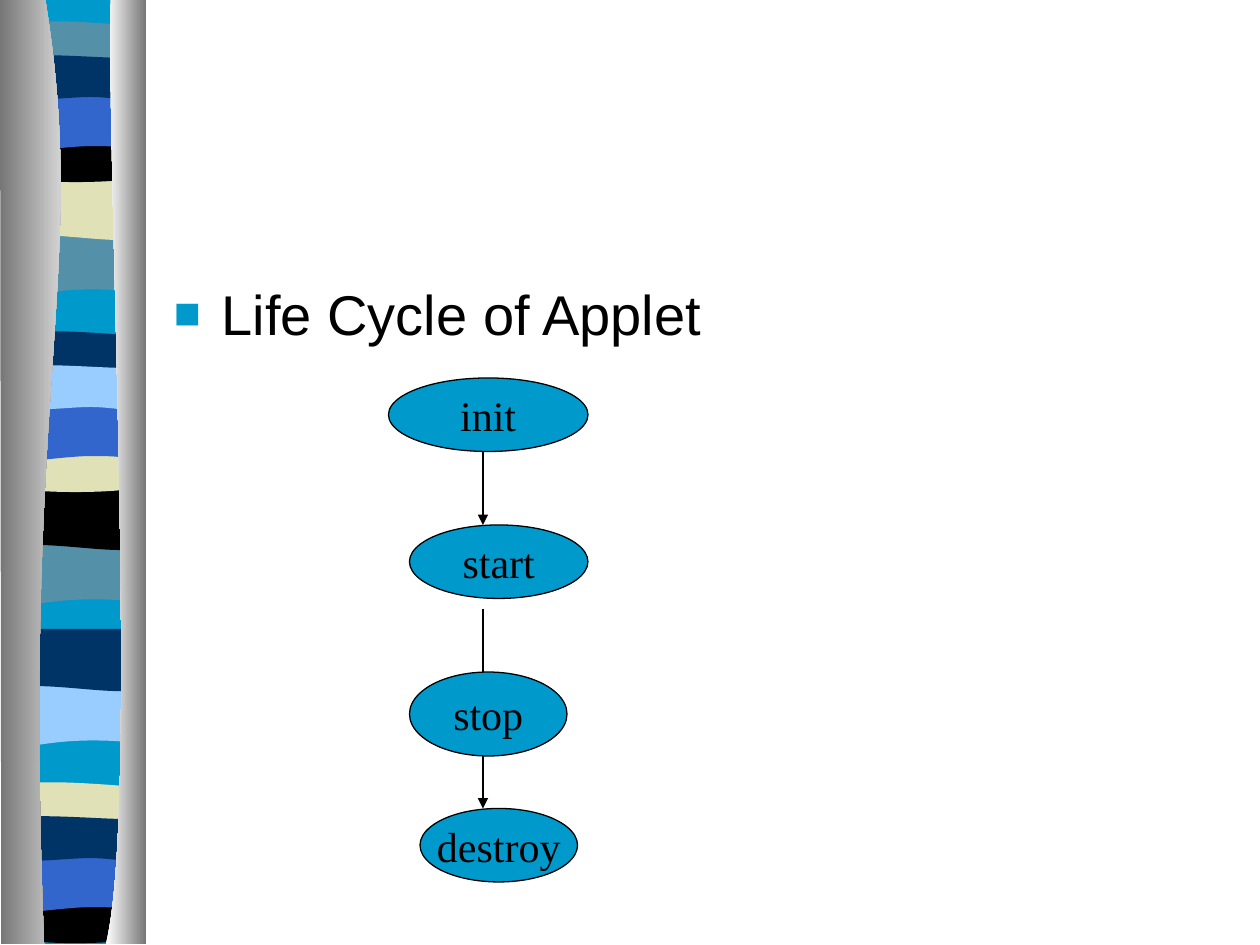
import pptx
import pptx.util
import pptx.dml.color
import pptx.enum.shapes
import pptx.enum.text
import pptx.oxml.ns
import lxml.etree

Inches, Pt = pptx.util.Inches, pptx.util.Pt
qn = pptx.oxml.ns.qn

INK = {
    "sky": "0099CC", "teal": "5490A8", "sand": "E1E1B7", "black": "000000",
    "blue": "3366CC", "navy": "003366", "pale": "99CCFF",
    "gray": "767676", "white": "FFFFFF",
}
WIDE, HIGH = 10, 7.5
STEP = 1 / 12  # pitch of the flow chart grid, in inches
EDGE = 1.08    # width of a band

# Outlines in inches: a pair is a line to a point, a triple of pairs a curve
BANDS = [
    [(EDGE, 1.85), ((EDGE, 1.85), (EDGE, 2.32), (EDGE, 2.32)),
     ((.33, 2.24), (.18, 2.4), (0, 2.32)), (0, 1.85)],
    [(EDGE, 1.41), (EDGE, 1.88), ((.9, 1.96), (.33, 1.82), (0, 1.88)),
     (0, 1.41)],
    [(EDGE, .21), (EDGE, .45), ((.9, .49), (.18, .49), (0, .45)), (0, .21),
     ((.06, .16), (.23, .17), (.41, .17)),
     ((.59, .17), (.94, .2), (EDGE, .21))],
    [(EDGE, 1.08), (EDGE, 1.4), ((.9, 1.46), (.18, 1.46), (0, 1.4)),
     (0, 1.08), ((.66, 1.13), (.85, 1.08), (EDGE, 1.08))],
    [(EDGE, .74), ((EDGE, .74), (EDGE, 1.21), (EDGE, 1.21)),
     ((.91, 1.16), (.84, 1.16), (.66, 1.16)),
     ((.48, 1.16), (.16, 1.21), (0, 1.21)), (0, .74)],
    [(EDGE, .46), (EDGE, .77), ((1.01, .82), (.84, .77), (.66, .77)),
     ((.48, .77), (.11, .82), (0, .77)), (0, .46),
     ((.15, .41), (.73, .46), (.91, .46)),
     ((1.09, .46), (1.04, .46), (EDGE, .46))],
]

# Runs of bands: shift down, bands used, their colours
RUNS = [
    (0, BANDS, "teal sand teal black blue navy"),
    (2.46, BANDS, "teal black navy sand blue pale"),
    (3.58, BANDS[:2], "pale navy"),
    (6.04, BANDS[2:], "sand black blue navy"),
]

# Ovals (text, left, top, width, height) and arrows (top, end) in grid steps
NODES = [("init", 0, 0, 19, 7), ("start", 2, 14, 17, 7),
         ("stop", 2, 28, 15, 8), ("destroy", 3, 41, 15, 7)]
ARROWS = [(7, 14), (22, 29), (36, 41)]
SPINE = 9


def tint(name):
    return pptx.dml.color.RGBColor.from_string(INK[name])


def trace(shapes, left, top, outline):
    """Draw a closed outline of lines and curves from the given corner."""
    parts = [p if isinstance(p[0], tuple) else (p,) for p in outline]
    spots = [(Inches(left + x), Inches(top + y))
             for part in parts for x, y in part]
    pen = shapes.build_freeform(*spots[0], scale=1.0)
    pen.add_line_segments(spots[1:], close=True)
    form = pen.convert_to_shape()
    lines = iter(list(form._element.iter(qn("a:lnTo"))))
    for part in parts[1:]:
        first = next(lines)
        if len(part) == 3:
            curve = lxml.etree.Element(qn("a:cubicBezTo"))
            first.addprevious(curve)
            for line in (first, next(lines), next(lines)):
                curve.append(line[0])
                line.getparent().remove(line)
    form.shadow.inherit = False
    form.line.fill.background()
    return form


def paint(form, name):
    form.fill.solid()
    form.fill.fore_color.rgb = tint(name)


def shade(form, first, last):
    form.fill.gradient()
    form.fill.gradient_angle = 0
    for stop, name in zip(form.fill.gradient_stops, (first, last)):
        stop.color.rgb = tint(name)


def write(frame, text, font, size, align=None, bullet=None):
    para = frame.paragraphs[0]
    para.space_before = Pt(0)
    para.alignment = align
    if bullet:
        props = para._p.get_or_add_pPr()
        props.set("marL", str(Inches(0.38)))
        props.set("indent", str(-Inches(0.38)))
        color = lxml.etree.SubElement(props, qn("a:buClr"))
        lxml.etree.SubElement(color, qn("a:srgbClr"), val=INK["sky"])
        lxml.etree.SubElement(props, qn("a:buSzPct"), val="80000")
        lxml.etree.SubElement(props, qn("a:buFont"), typeface="Arial")
        lxml.etree.SubElement(props, qn("a:buChar"), char=bullet)
    run = para.add_run()
    run.text = text
    run.font.name, run.font.size = font, Pt(size)
    run.font.color.rgb = tint("black")


def draw_strip(slide, box):
    """Draw the striped ribbon between two shaded walls."""
    left, top, wide, high = box
    shapes = slide.shapes.add_group_shape().shapes
    inner = left + 0.06
    base = [(EDGE, 0), (EDGE, high), (0, high), (0, 0)]
    paint(trace(shapes, inner, top, base), "sky")
    for shift, bands, names in RUNS:
        for band, name in zip(bands, names.split()):
            paint(trace(shapes, inner, top + shift, band), name)
    wall = [(.36, 0), ((.71, 2.16), (.17, 2.96), (.35, high)),
            (.01, high), (0, 0)]
    shade(trace(shapes, left, top, wall), "gray", "white")
    wall = [(.88, 0), ((.84, 1.25), (1.11, 6.46), (.84, high)),
            (wide, high), (wide, 0)]
    shade(trace(shapes, left, top, wall), "white", "gray")


def place_body(slide, box):
    title = slide.shapes.title.element
    title.getparent().remove(title)
    body = slide.placeholders[1]
    body.left, body.top, body.width, body.height = map(Inches, box)
    write(body.text_frame, "Life Cycle of Applet", "Arial", 32, bullet="■")


def add_node(slide, box, text):
    oval = slide.shapes.add_shape(
        pptx.enum.shapes.MSO_SHAPE.OVAL, *map(Inches, box))
    oval.shadow.inherit = False
    paint(oval, "sky")
    oval.line.color.rgb = tint("black")
    oval.line.width = Pt(0.75)
    frame = oval.text_frame
    frame.word_wrap = False
    frame.vertical_anchor = pptx.enum.text.MSO_ANCHOR.MIDDLE
    write(frame, text, "Times New Roman", 24,
          align=pptx.enum.text.PP_ALIGN.CENTER)


def add_arrow(slide, x, top, end):
    line = slide.shapes.add_connector(
        pptx.enum.shapes.MSO_CONNECTOR.STRAIGHT,
        Inches(x), Inches(top), Inches(x), Inches(end))
    line.line.color.rgb = tint("black")
    line.line.width = Pt(0.75)
    lxml.etree.SubElement(line.line._get_or_add_ln(), qn("a:tailEnd"),
                          type="triangle")
    lxml.etree.SubElement(line._element.spPr, qn("a:effectLst"))


def draw_flow(slide, left, top):
    for k, (text, x, y, w, h) in enumerate(NODES):
        add_node(slide, (left + x * STEP, top + y * STEP, w * STEP, h * STEP),
                 text)
        if k < len(ARROWS):
            start, end = ARROWS[k]
            add_arrow(slide, left + SPINE * STEP,
                      top + start * STEP, top + end * STEP)


def main():
    deck = pptx.Presentation()
    deck.slide_width, deck.slide_height = Inches(WIDE), Inches(HIGH)
    slide = deck.slides.add_slide(deck.slide_layouts[1])
    draw_strip(slide, (0, 0, 1.16, HIGH - 0.01))
    place_body(slide, (1.28, 2.17, 8.5, 0.6 * HIGH))
    draw_flow(slide, 37 * STEP, 0.4 * HIGH)
    deck.save("out.pptx")


if __name__ == "__main__":
    main()
